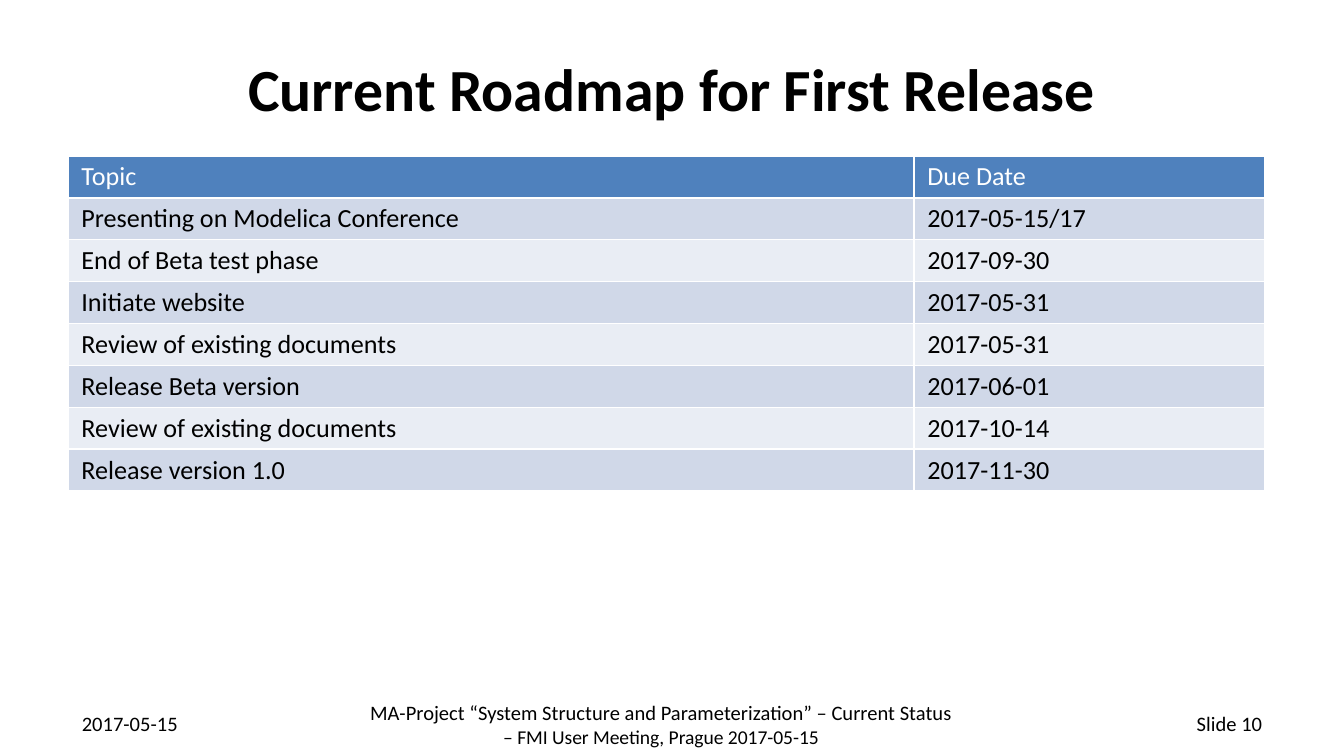
from typing import NamedTuple

from lxml import etree
from pptx import Presentation
from pptx.dml.color import RGBColor
from pptx.enum.text import MSO_ANCHOR, PP_ALIGN
from pptx.oxml.ns import qn
from pptx.util import Pt

LEFT, CENTER, RIGHT = PP_ALIGN.LEFT, PP_ALIGN.CENTER, PP_ALIGN.RIGHT
TOP, MIDDLE = MSO_ANCHOR.TOP, MSO_ANCHOR.MIDDLE
TITLE_ONLY_LAYOUT = 5
FONT = "Calibri"
COLORS = {
    "text": "000000",
    "header_text": "FFFFFF",
    "header": "4F81BD",
    "odd_row": "D0D8E8",
    "even_row": "E9EDF4",
    "border": "FFFFFF",
}


class Box(NamedTuple):
    left: float
    top: float
    width: float
    height: float

    def lengths(self):
        return [Pt(value) for value in self]


class Line(NamedTuple):
    text: str
    size: float


class FooterItem(NamedTuple):
    box: Box
    lines: list[Line]
    alignment: PP_ALIGN
    anchor: MSO_ANCHOR


class Milestone(NamedTuple):
    topic: str
    due_date: str


TITLE_BOX = Box(36, 16.56, 648, 61.2)
TABLE_LEFT, TABLE_TOP = 36.4, 83.5
COLUMN_WIDTHS = (453.2, 188)
ROW_HEIGHT = 22.4

HEADER = Milestone("Topic", "Due Date")
MILESTONES = [
    Milestone("Presenting on Modelica Conference", "2017-05-15/17"),
    Milestone("End of Beta test phase", "2017-09-30"),
    Milestone("Initiate website", "2017-05-31"),
    Milestone("Review of existing documents", "2017-05-31"),
    Milestone("Release Beta version", "2017-06-01"),
    Milestone("Review of existing documents", "2017-10-14"),
    Milestone("Release version 1.0", "2017-11-30"),
]
FOOTER = [
    FooterItem(Box(36.72, 376.56, 84.96, 21.6), [Line("2017-05-15", 11)], LEFT, MIDDLE),
    FooterItem(
        Box(133.2, 371.52, 442.08, 31.68),
        [
            Line("MA-Project “System Structure and Parameterization” – Current Status", 11),
            Line("– FMI User Meeting, Prague 2017-05-15", 10.5),
        ],
        CENTER,
        TOP,
    ),
    FooterItem(Box(575.28, 376.56, 108, 21.6), [Line("Slide 10", 11)], RIGHT, MIDDLE),
]


def add_run(paragraph, text: str, size: float, color: str = "text", bold: bool = False) -> None:
    run = paragraph.add_run()
    run.text = text
    run.font.name = FONT
    run.font.size = Pt(size)
    run.font.bold = bold
    run.font.color.rgb = RGBColor.from_string(COLORS[color])


def add_title(slide, text: str) -> None:
    title = slide.shapes.title
    title.left, title.top, title.width, title.height = TITLE_BOX.lengths()
    title.text_frame.vertical_anchor = MIDDLE
    paragraph = title.text_frame.paragraphs[0]
    paragraph.alignment = CENTER
    add_run(paragraph, text, 32, bold=True)


def add_footer_item(slide, item: FooterItem) -> None:
    frame = slide.shapes.add_textbox(*item.box.lengths()).text_frame
    frame.word_wrap = True
    frame.vertical_anchor = item.anchor
    for index, line in enumerate(item.lines):
        paragraph = frame.add_paragraph() if index else frame.paragraphs[0]
        paragraph.alignment = item.alignment
        add_run(paragraph, line.text, line.size)


def set_borders(cell, bottom_width: float) -> None:
    """Draw all four borders; they must precede the fill in the cell properties."""
    properties = cell._tc.get_or_add_tcPr()
    widths = {"a:lnL": 1, "a:lnR": 1, "a:lnT": 1, "a:lnB": bottom_width}
    for index, (tag, width) in enumerate(widths.items()):
        border = etree.Element(qn(tag), w=str(Pt(width)))
        fill = etree.SubElement(border, qn("a:solidFill"))
        etree.SubElement(fill, qn("a:srgbClr"), val=COLORS["border"])
        properties.insert(index, border)


def fill_cell(cell, text: str, fill: str, text_color: str, bottom_width: float) -> None:
    cell.margin_left = cell.margin_right = Pt(7.2)
    cell.margin_top = cell.margin_bottom = Pt(2.7)
    cell.fill.solid()
    cell.fill.fore_color.rgb = RGBColor.from_string(COLORS[fill])
    set_borders(cell, bottom_width)
    add_run(cell.text_frame.paragraphs[0], text, 14, text_color)


def add_roadmap(slide, milestones: list[Milestone]) -> None:
    rows = [HEADER, *milestones]
    box = Box(TABLE_LEFT, TABLE_TOP, sum(COLUMN_WIDTHS), ROW_HEIGHT * len(rows))
    table = slide.shapes.add_table(len(rows), len(COLUMN_WIDTHS), *box.lengths()).table
    table.first_row = table.horz_banding = False
    for column, width in zip(table.columns, COLUMN_WIDTHS):
        column.width = Pt(width)
    for row_index, row in enumerate(rows):
        table.rows[row_index].height = Pt(ROW_HEIGHT)
        if row_index == 0:
            style = ("header", "header_text", 1)
        else:
            style = ("odd_row" if row_index % 2 else "even_row", "text", 1)
        for column_index, text in enumerate(row):
            fill_cell(table.cell(row_index, column_index), text, *style)


def main() -> None:
    presentation = Presentation()
    presentation.slide_width, presentation.slide_height = Pt(720), Pt(405)
    slide = presentation.slides.add_slide(presentation.slide_layouts[TITLE_ONLY_LAYOUT])
    add_title(slide, "Current Roadmap for First Release")
    add_roadmap(slide, MILESTONES)
    for item in FOOTER:
        add_footer_item(slide, item)
    presentation.save("out.pptx")


if __name__ == "__main__":
    main()
